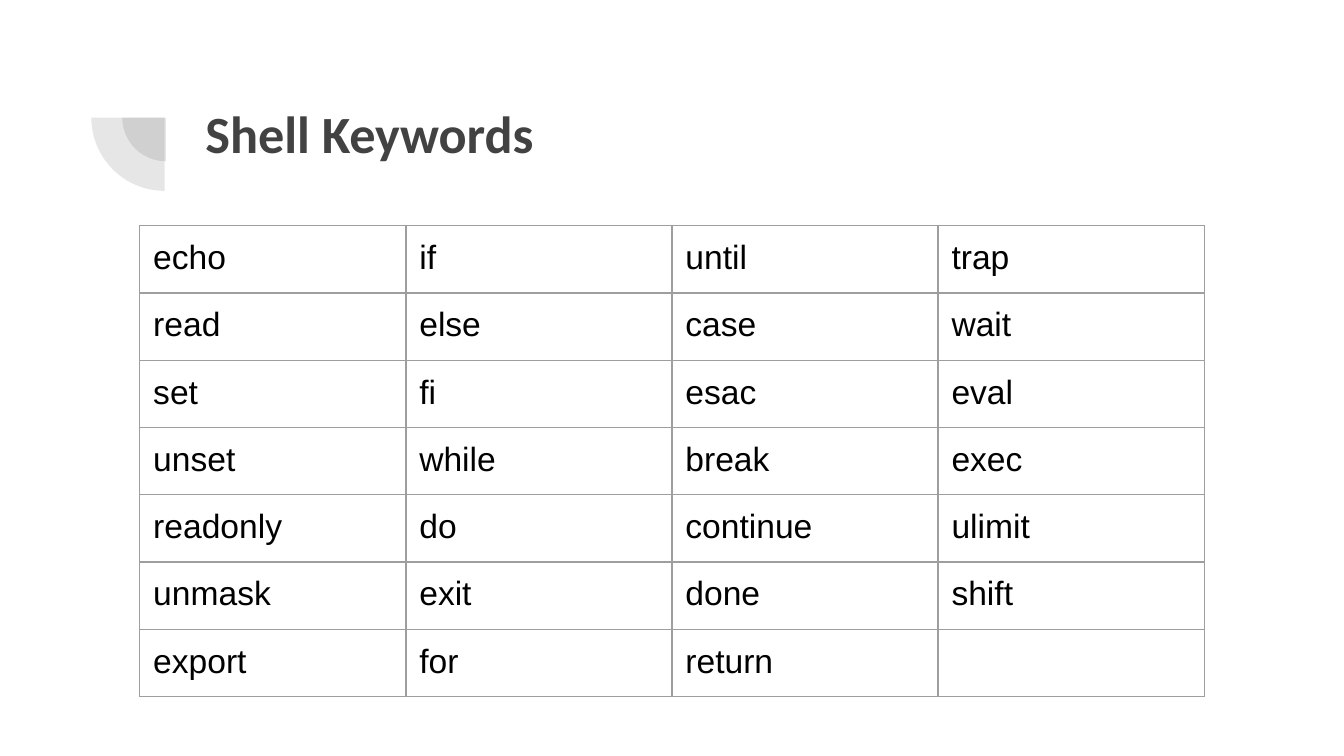
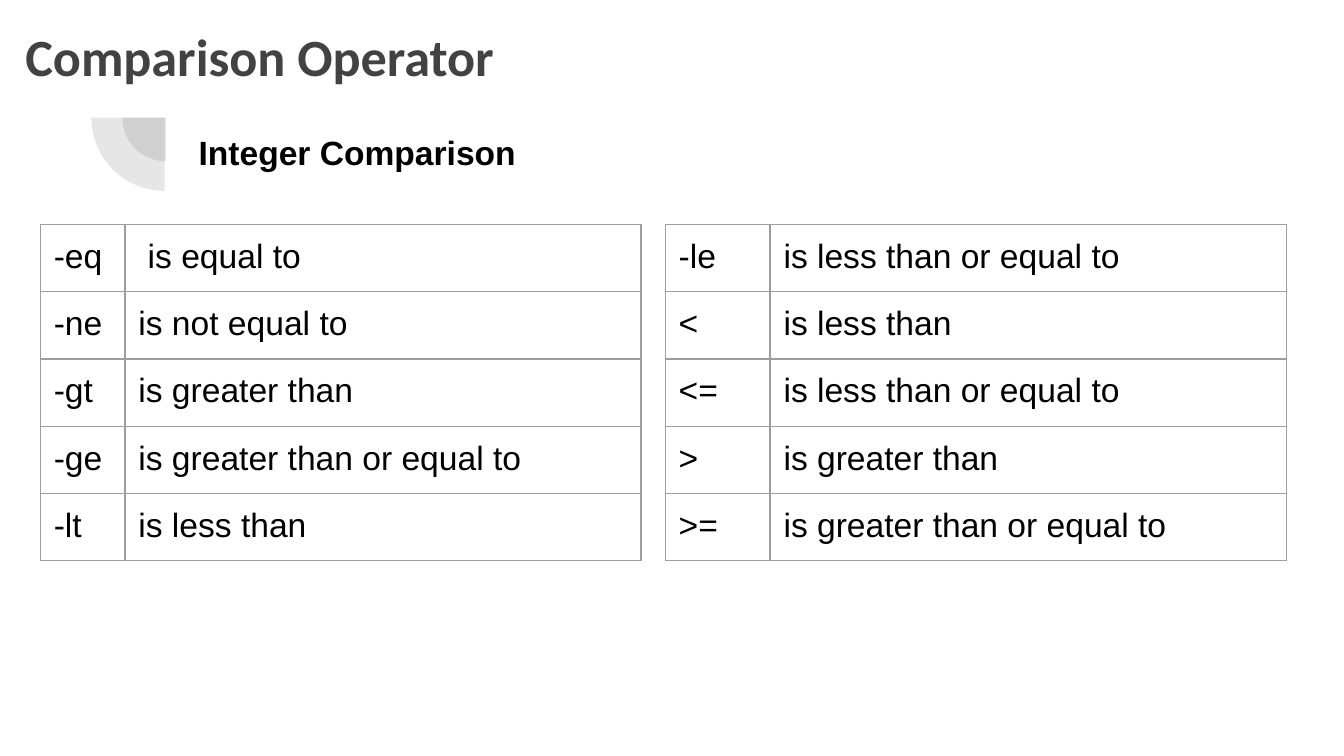
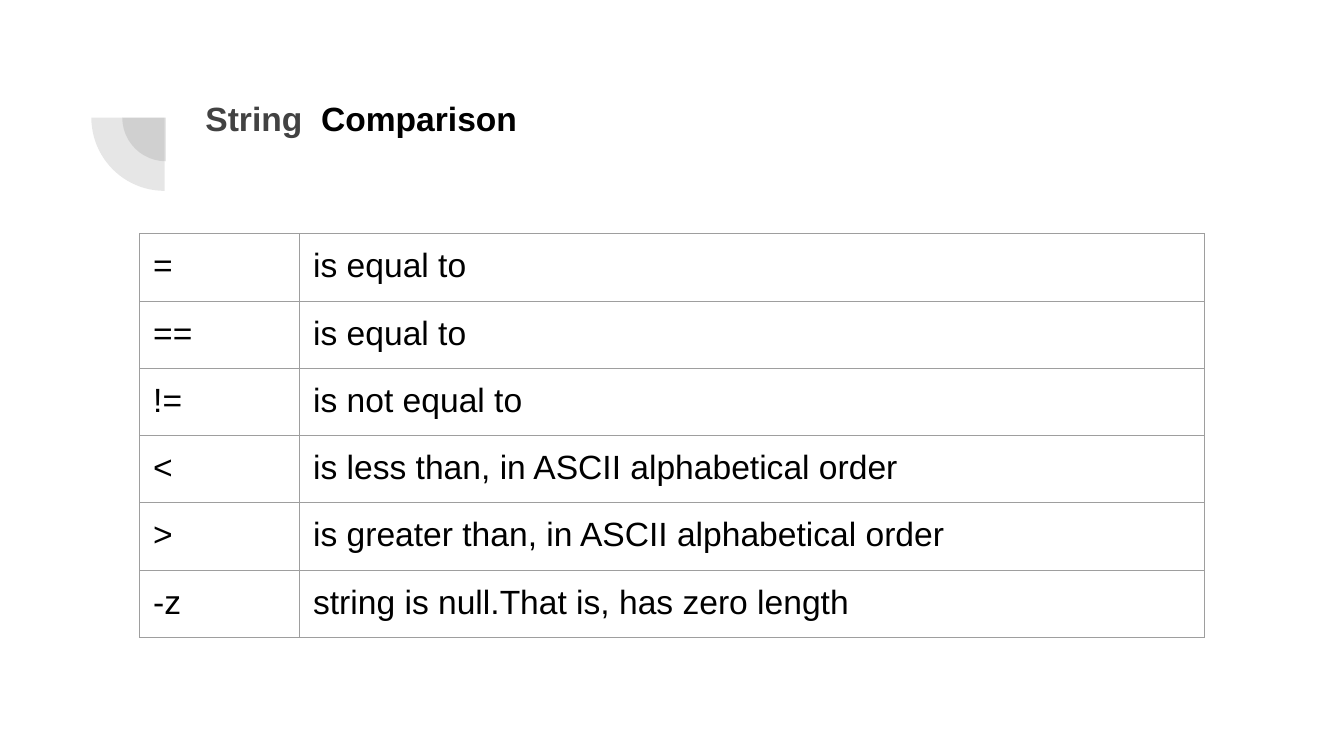
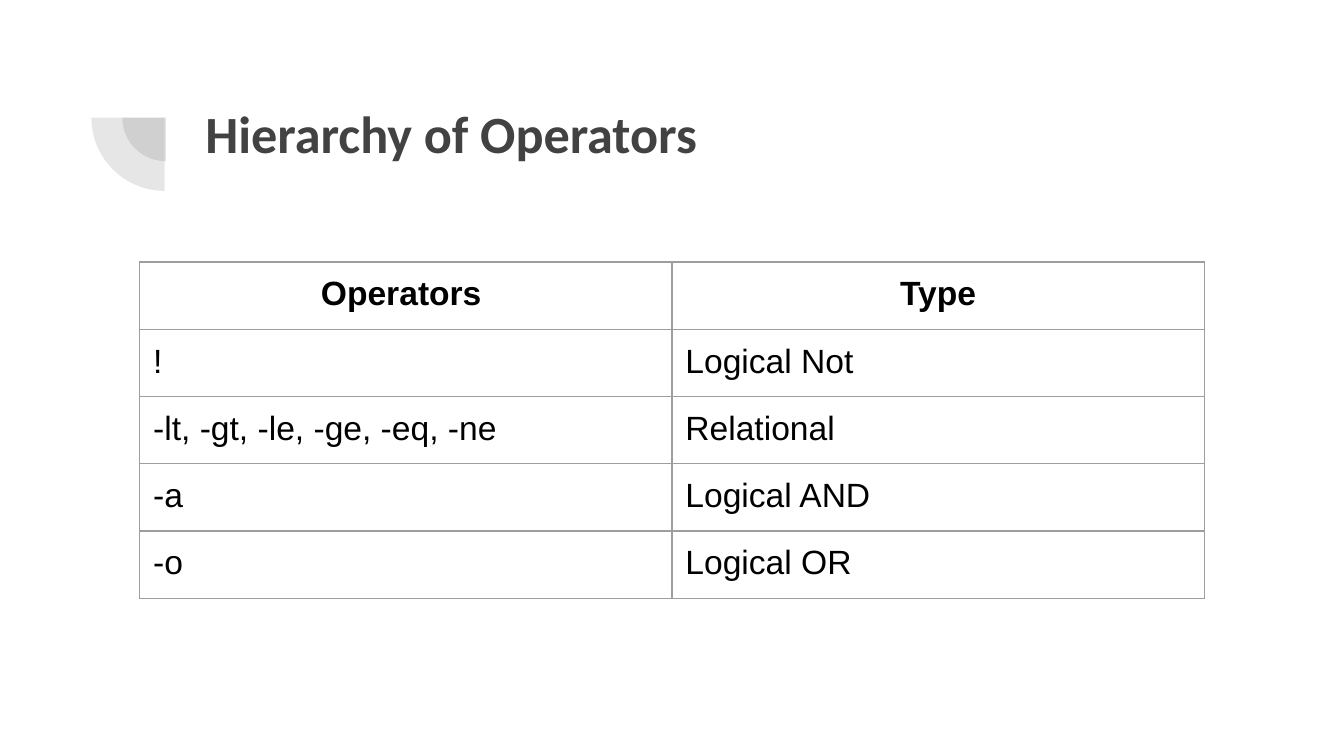
from lxml import etree
from pptx import Presentation
from pptx.dml.color import RGBColor
from pptx.enum.shapes import MSO_SHAPE
from pptx.enum.text import MSO_ANCHOR, PP_ALIGN
from pptx.oxml.ns import qn
from pptx.util import Inches, Pt

PIE = MSO_SHAPE.PIE
TOP = MSO_ANCHOR.TOP
CENTER = PP_ALIGN.CENTER

# Shared look
GRAY = RGBColor(0x42, 0x42, 0x42)
BLACK = RGBColor(0, 0, 0)
BORDER = RGBColor(0x9E, 0x9E, 0x9E)
HEAD_FONT, BODY_FONT = "Calibri", "Arial"
HEAD_SIZE, BODY_SIZE = 28, 18
SLIDE_W = 10
SLIDE_H = SLIDE_W * 9 / 16
MARGIN = 1.04
TABLE_W = SLIDE_W - 2 * MARGIN
PAD = 0.1
ROW_H = 0.42
PLAIN_STYLE = "{2D5ABB26-0587-4C30-8999-92F81FD0307C}"  # no style, no grid
ORNAMENT = [(0.91, 0.55, 0.65), (0.68, 0.33, 1.09)]  # left, top, size
ORNAMENT_ALPHA = 13

# Content: texts are (box, runs), runs are (text, font, size, color);
# tables are (left, top, column widths, has header, rows)
TITLE_BOX = (1.43, 0.65, 7.69, 1.09)


def heading(text):
    return [(text, HEAD_FONT, HEAD_SIZE, GRAY)]


def subheading(text, color=BLACK):
    return [(text, BODY_FONT, BODY_SIZE, color)]


KEYWORDS = [
    ("echo", "if", "until", "trap"),
    ("read", "else", "case", "wait"),
    ("set", "fi", "esac", "eval"),
    ("unset", "while", "break", "exec"),
    ("readonly", "do", "continue", "ulimit"),
    ("unmask", "exit", "done", "shift"),
    ("export", "for", "return", ""),
]
INTEGER_FLAGS = [
    ("-eq", " is equal to"),
    ("-ne", "is not equal to"),
    ("-gt", "is greater than"),
    ("-ge", "is greater than or equal to"),
    ("-lt", "is less than"),
]
INTEGER_SYMBOLS = [
    ("-le", "is less than or equal to"),
    ("<", "is less than"),
    ("<=", "is less than or equal to"),
    (">", "is greater than"),
    (">=", "is greater than or equal to"),
]
STRING_TESTS = [
    ("=", "is equal to"),
    ("==", "is equal to"),
    ("!=", "is not equal to"),
    ("<", "is less than, in ASCII alphabetical order"),
    (">", "is greater than, in ASCII alphabetical order"),
    ("-z", "string is null.That is, has zero length"),
]
HIERARCHY = [
    ("Operators ", "Type"),
    ("!", "Logical Not"),
    ("-lt, -gt, -le, -ge, -eq, -ne", "Relational"),
    ("-a", "Logical AND"),
    ("-o", "Logical OR"),
]

SLIDES = [
    {"texts": [(TITLE_BOX, heading("Shell Keywords"))],
     "tables": [(MARGIN, 1.68, [TABLE_W / 4] * 4, False, KEYWORDS)]},
    {"texts": [((0.09, 0.08, 7.69, 0.53), heading("Comparison Operator")),
               ((1.38, 0.88, 5.84, 0.53), subheading("Integer Comparison"))],
     "tables": [(0.3, 1.67, [0.63, 3.84], False, INTEGER_FLAGS),
                (4.95, 1.67, [0.78, 3.84], False, INTEGER_SYMBOLS)]},
    {"texts": [((1.43, 0.63, 7.69, 0.43),
                subheading("String ", GRAY) + subheading(" Comparison"))],
     "tables": [(MARGIN, 1.74, [1.19, TABLE_W - 1.19], False, STRING_TESTS)]},
    {"texts": [(TITLE_BOX, heading("Hierarchy of Operators"))],
     "tables": [(MARGIN, 1.95, [TABLE_W / 2] * 2, True, HIERARCHY)]},
]


def format_run(r, font, size, color, bold):
    r.font.name, r.font.size, r.font.bold = font, Pt(size), bold
    r.font.color.rgb = color


def set_padding(obj):
    obj.margin_left = obj.margin_right = Inches(PAD)
    obj.margin_top = obj.margin_bottom = Inches(PAD)
    obj.vertical_anchor = TOP


def add_ornament(slide):
    """Two translucent quarter discs sharing one corner."""
    for left, top, size in ORNAMENT:
        sp = slide.shapes.add_shape(PIE, Inches(left), Inches(top),
                                    Inches(size), Inches(size))
        sp.adjustments[0], sp.adjustments[1] = 108, 162  # 180 to 270 degrees
        sp.rotation = 270
        sp.shadow.inherit = False
        sp.line.fill.background()
        sp.fill.solid()
        sp.fill.fore_color.rgb = GRAY
        color = sp.fill._xPr.find(".//" + qn("a:srgbClr"))
        etree.SubElement(color, qn("a:alpha"), val=str(ORNAMENT_ALPHA * 1000))


def add_text(slide, box, runs):
    tf = slide.shapes.add_textbox(*map(Inches, box)).text_frame
    tf.word_wrap = True
    set_padding(tf)
    p = tf.paragraphs[0]
    for text, font, size, color in runs:
        r = p.add_run()
        r.text = text
        format_run(r, font, size, color, True)


def set_borders(cell):
    tcPr = cell._tc.get_or_add_tcPr()
    for i, side in enumerate(("lnL", "lnR", "lnT", "lnB")):
        ln = etree.Element(qn("a:" + side), w=str(Pt(0.75)))
        fill = etree.SubElement(ln, qn("a:solidFill"))
        etree.SubElement(fill, qn("a:srgbClr"), val=str(BORDER))
        tcPr.insert(i, ln)


def set_line_height(p):
    """Keep the line height that of the body font, in empty cells too."""
    p.line_spacing = 1.0
    p.space_before = p.space_after = Pt(0)
    end = etree.SubElement(p._p, qn("a:endParaRPr"), sz=str(BODY_SIZE * 100))
    for script in ("latin", "ea", "cs"):
        etree.SubElement(end, qn("a:" + script), typeface=BODY_FONT)


def add_grid(slide, left, top, widths, has_header, rows):
    table = slide.shapes.add_table(
        len(rows), len(widths), Inches(left), Inches(top),
        Inches(sum(widths)), Inches(ROW_H * len(rows))).table
    table.first_row = table.horz_banding = False
    table._tbl.tblPr.find(qn("a:tableStyleId")).text = PLAIN_STYLE
    for col, width in zip(table.columns, widths):
        col.width = Inches(width)
    for i, row in enumerate(rows):
        is_header = has_header and i == 0
        for j, text in enumerate(row):
            cell = table.cell(i, j)
            cell.fill.background()
            set_borders(cell)
            set_padding(cell)
            p = cell.text_frame.paragraphs[0]
            p.text = text
            if is_header:
                p.alignment = CENTER
            for r in p.runs:
                format_run(r, BODY_FONT, BODY_SIZE, BLACK, is_header)
            set_line_height(p)


def main():
    prs = Presentation()
    prs.slide_width, prs.slide_height = Inches(SLIDE_W), Inches(SLIDE_H)
    for content in SLIDES:
        slide = prs.slides.add_slide(prs.slide_layouts[6])
        add_ornament(slide)
        for box, runs in content["texts"]:
            add_text(slide, box, runs)
        for grid in content["tables"]:
            add_grid(slide, *grid)
    prs.save("out.pptx")


if __name__ == "__main__":
    main()
